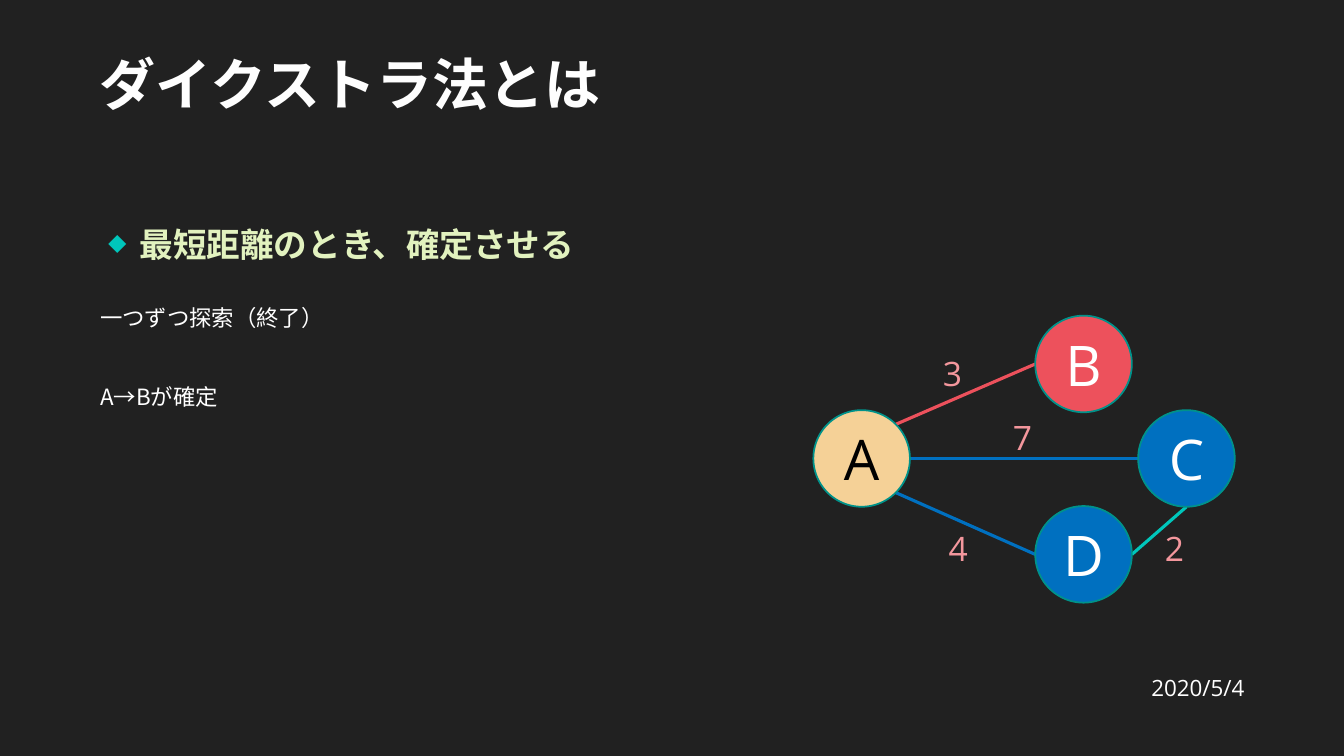
from math import cos, radians, sin

from lxml import etree
from pptx import Presentation
from pptx.dml.color import RGBColor
from pptx.enum import shapes, text
from pptx.oxml import ns
from pptx.util import Pt

COLORS = {
    "background": "212121", "title": "FEFEFE", "white": "FFFFFF", "black": "000000",
    "key": "E2F2BF", "teal": "00C6BB", "outline": "00928A", "weight": "F4979D",
    "start": "F5D197", "fixed": "ED515C", "open": "0070C0",
}
JAPANESE, LATIN = "Noto Sans CJK JP", "Open Sans"
TITLE = "ダイクストラ法とは"
KEY_POINT = "最短距離のとき、確定させる"
STEPS = ["一つずつ探索（終了）", "A→Bが確定"]
DATE = "2020/5/4"
DIAMETER = 69
NODES = {
    "A": (615.5, 327.5, "start", "black"),
    "B": (774, 260, "fixed", "white"),
    "C": (847.5, 327.5, "open", "white"),
    "D": (774, 396, "open", "white"),
}
EDGES = [
    ("A", -45, "B", 180, "fixed", "3", (666.5, 248.5)),
    ("A", 0, "C", 180, "open", "7", (716.5, 294.5)),
    ("A", 45, "D", 180, "open", "4", (670.5, 373.5)),
    ("D", 0, "C", 90, "teal", "2", (825, 373.5)),
]


def rgb(name):
    return RGBColor.from_string(COLORS[name])


def add_xml(parent, tag, **attributes):
    return etree.SubElement(parent, ns.qn(tag), attributes)


def write(shape, lines, size, color, font=LATIN, bold=False, align="LEFT",
          anchor="MIDDLE", wrap=True, gap=0, shadow=False):
    frame = shape.text_frame
    frame.auto_size = text.MSO_AUTO_SIZE.NONE
    frame.word_wrap = wrap
    frame.vertical_anchor = text.MSO_ANCHOR[anchor]
    for index, line in enumerate(lines):
        paragraph = frame.add_paragraph() if index else frame.paragraphs[0]
        paragraph.alignment = text.PP_ALIGN[align]
        paragraph.space_before = Pt(gap if index else 0)
        paragraph.space_after = Pt(0)
        run = paragraph.add_run()
        run.text = line
        run.font.size, run.font.bold, run.font.name = Pt(size), bold, font
        run.font.color.rgb = rgb(color)
        properties = run.font._element
        add_xml(properties, "a:ea", typeface=font)
        if shadow:
            effects = etree.Element(ns.qn("a:effectLst"))
            outer = add_xml(effects, "a:outerShdw", blurRad="38100", dist="38100", dir="2700000")
            add_xml(add_xml(outer, "a:srgbClr", val=COLORS["black"]), "a:alpha", val="43000")
            properties.find(ns.qn("a:solidFill")).addnext(effects)


def set_bullet(paragraph, margin=0, hanging=0, character=None):
    properties = paragraph._p.get_or_add_pPr()
    properties.set("marL", str(Pt(margin)))
    properties.set("indent", str(-Pt(hanging)))
    if character:
        add_xml(add_xml(properties, "a:buClr"), "a:srgbClr", val=COLORS["teal"])
        add_xml(properties, "a:buSzPct", val="55000")
        add_xml(properties, "a:buFont", typeface=JAPANESE)
        add_xml(properties, "a:buChar", char=character)
    else:
        add_xml(properties, "a:buNone")


def place(shape, *box):
    shape.left, shape.top, shape.width, shape.height = map(Pt, box)


def rim(node, angle):
    x, y = NODES[node][:2]
    radius = DIAMETER / 2
    return Pt(x + radius * cos(radians(angle))), Pt(y + radius * sin(radians(angle)))


presentation = Presentation()
presentation.slide_width, presentation.slide_height = Pt(960), Pt(540)
slide = presentation.slides.add_slide(presentation.slide_layouts[3])
slide.background.fill.solid()
slide.background.fill.fore_color.rgb = rgb("background")

title, steps, key_point = slide.placeholders
place(title, 64, 21, 832, 76)
write(title, [TITLE], 40, "title", JAPANESE, bold=True, shadow=True)
place(steps, 64.5, 213.5, 448, 248)
write(steps, STEPS, 16, "white", JAPANESE, anchor="TOP", gap=37.5)
for paragraph in steps.text_frame.paragraphs:
    set_bullet(paragraph)
place(key_point, 64.5, 148.5, 831, 51)
write(key_point, [KEY_POINT], 24, "key", JAPANESE, bold=True, shadow=True)
set_bullet(key_point.text_frame.paragraphs[0], 28, 22, "◆")

date = slide.shapes.add_textbox(Pt(790), Pt(475.5), Pt(106), Pt(29))
write(date, [DATE], 16, "white", align="RIGHT", anchor="BOTTOM")

for start, start_angle, end, end_angle, color, weight, corner in EDGES:
    edge = slide.shapes.add_connector(
        shapes.MSO_CONNECTOR.STRAIGHT, *rim(start, start_angle), *rim(end, end_angle))
    edge.line.color.rgb = rgb(color)
    edge.line.width = Pt(2.25)
    add_xml(edge._element.spPr, "a:effectLst")
    label = slide.shapes.add_textbox(*map(Pt, corner), Pt(27.5), Pt(36))
    write(label, [weight], 24, "weight", anchor="TOP", wrap=False)

for name, (x, y, fill, color) in NODES.items():
    node = slide.shapes.add_shape(
        shapes.MSO_SHAPE.OVAL, Pt(x - DIAMETER / 2), Pt(y - DIAMETER / 2), Pt(DIAMETER), Pt(DIAMETER))
    node.shadow.inherit = False
    node.fill.solid()
    node.fill.fore_color.rgb = rgb(fill)
    node.line.color.rgb = rgb("outline")
    node.line.width = Pt(1.25)
    write(node, [name], 40, color, align="CENTER")

presentation.save("out.pptx")
